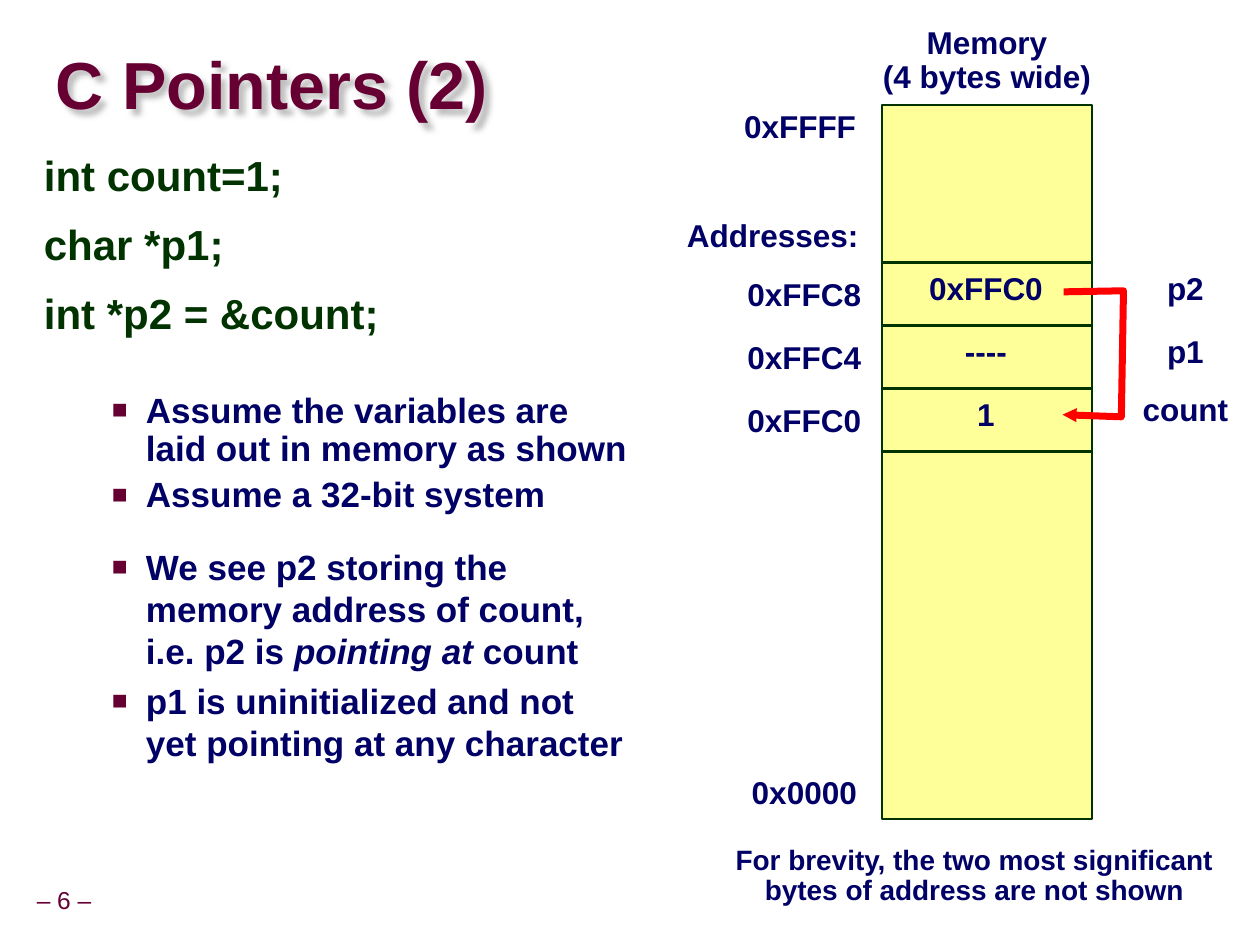
"""Build the "C Pointers (2)" slide with code, notes and a memory diagram."""
from lxml.etree import SubElement
from pptx import Presentation
from pptx.dml.color import RGBColor
from pptx.enum.shapes import MSO_SHAPE
from pptx.enum.text import MSO_ANCHOR, PP_ALIGN
from pptx.oxml import parse_xml
from pptx.oxml.ns import nsdecls, qn
from pptx.util import Inches, Pt

deck = Presentation()
deck.slide_width, deck.slide_height = Inches(10), Inches(7.5)
page = deck.slides.add_slide(deck.slide_layouts[5])
CELL = deck.slide_width / 120
NAVY, PLUM, GREEN, YELLOW, RED = "000066", "660033", "003300", "FFFF99", "FF0000"
colour = RGBColor.from_string


def add_span(para, text, ink, **values):
    span = para.add_run()
    span.text = text
    span.font.color.rgb = colour(ink)
    for name, value in {"name": "Arial", "bold": True, **values}.items():
        setattr(span.font, name, value)


def add_box(left, top, width, height, wrap):
    box = page.shapes.add_textbox(*(round(n * CELL) for n in (left, top, width, height)))
    box.text_frame.word_wrap = wrap
    return box.text_frame


title = page.shapes.title
title.left, title.top, title.width, title.height = (
    round(n * CELL) for n in (5.3, 3.3, 114.4, 10.2))
frame = title.text_frame
for name, value in {"margin_left": 0, "margin_top": 0, "margin_right": 0, "margin_bottom": 0,
                    "vertical_anchor": MSO_ANCHOR.MIDDLE, "word_wrap": True}.items():
    setattr(frame, name, value)
para = frame.paragraphs[0]
para.alignment, para.line_spacing = PP_ALIGN.LEFT, 0.87
add_span(para, "C Pointers (2)", PLUM, size=Pt(38))
title.fill.background()
title._element.spPr.append(parse_xml(
    f'<a:effectLst {nsdecls("a")}><a:outerShdw blurRad="38100" dist="53900" dir="2700000">'
    '<a:srgbClr val="C0C0C0"/></a:outerShdw></a:effectLst>'))

code = [("int count=1;",), ("char *p1;",), ("int *p2 = &count;",)]
layout_notes = [("Assume the variables are laid out in memory as shown",),
                ("Assume a 32-bit system",)]
pointer_notes = [("We see p2 storing the memory address of count, i.e. p2 is ", "pointing at", " count"),
                 ("p1 is uninitialized and not yet pointing at any character",)]
code_frame = add_box(3, 14, 58.2, 37, True)
pointer_frame = add_box(3, 51.4, 58.2, 28.5, True)
for frame, entries, is_note, spacing, first_gap, gap in (
        (code_frame, code, False, 0.95, 0, 12),
        (code_frame, layout_notes, True, 0.9, 31, 5),
        (pointer_frame, pointer_notes, True, 1.0, 0, 4.5)):
    for index, texts in enumerate(entries):
        para = frame.paragraphs[0] if not frame.text else frame.add_paragraph()
        props = para._p.get_or_add_pPr()
        margin, indent = (0.81, -0.27) if is_note else (0.42, -0.42)
        props.set("marL", str(Inches(margin)))
        props.set("indent", str(Inches(indent)))
        if is_note:
            SubElement(SubElement(props, qn("a:buClr")), qn("a:srgbClr"), val=PLUM)
            SubElement(props, qn("a:buSzPct"), val="75000")
            SubElement(props, qn("a:buFont"), typeface="Arial")
            SubElement(props, qn("a:buChar"), char="■")
        para.line_spacing = spacing
        para.space_before = Pt(gap if index else first_gap)
        for position, text in enumerate(texts):
            add_span(para, text, NAVY if is_note else GREEN,
                     size=Pt(20 if is_note else 24), italic=position == 1)

for top, height in ((10, 68), (37, 6), (31, 6), (25, 6)):
    memory = page.shapes.add_shape(
        MSO_SHAPE.RECTANGLE, *(round(n * CELL) for n in (84, top, 20, height)))
    memory.shadow.inherit = False
    memory.fill.solid()
    memory.fill.fore_color.rgb = colour(YELLOW)
    memory.line.color.rgb = colour(GREEN)
    memory.line.width = Pt(1.5)

labels = [("Memory\n(4 bytes wide)", 94, 2, 22.4, 18), ("Addresses:", 73.6, 20.4, 19, 18),
          ("0xFFFF", 76.2, 10, 13.3, 18), ("0x0000", 76.6, 73.4, 12.6, 18),
          ("For brevity, the two most significant\nbytes of address are not shown",
           92.8, 80, 48.5, 16),
          ("– 6 –", 6.1, 84, 8, 14)]
variables = [("0xFFC8", "0xFFC0", 13.3, "p2", 6), ("0xFFC4", "----", 6.5, "p1", 6),
             ("0xFFC0", "1", 4.1, "count", 10.8)]
for row, (address, value, value_width, variable, variable_width) in enumerate(variables):
    top = 25.4 + 6 * row
    labels += [(address, 76.6, top + 0.6, 13.3, 18), (value, 93.9, top, value_width, 18),
               (variable, 112.9, 37 if variable == "count" else top, variable_width, 18)]
for text, centre, top, width, size in labels:
    lines = text.split("\n")
    frame = add_box(centre - width / 2, top, width, 1.2 + 0.18 * size * len(lines), False)
    for index, line in enumerate(lines):
        para = frame.add_paragraph() if index else frame.paragraphs[0]
        para.alignment, para.line_spacing = PP_ALIGN.CENTER, 0.9
        is_number = size == 14
        add_span(para, line, PLUM if is_number else NAVY, size=Pt(size), bold=not is_number)

points = [(round(x * CELL), round(y * CELL))
          for x, y in ((101.3, 27.8), (107, 27.7), (106.8, 39.7), (101.2, 39.5))]
builder = page.shapes.build_freeform(*points[0])
builder.add_line_segments(points[1:], close=False)
pointer = builder.convert_to_shape()
pointer.shadow.inherit = False
pointer.fill.background()
pointer.line.color.rgb = colour(RED)
pointer.line.width = Pt(4)
outline = pointer.line._get_or_add_ln()
SubElement(outline, qn("a:round"))
SubElement(outline, qn("a:tailEnd"), type="triangle", w="sm", len="sm")

deck.save("out.pptx")
